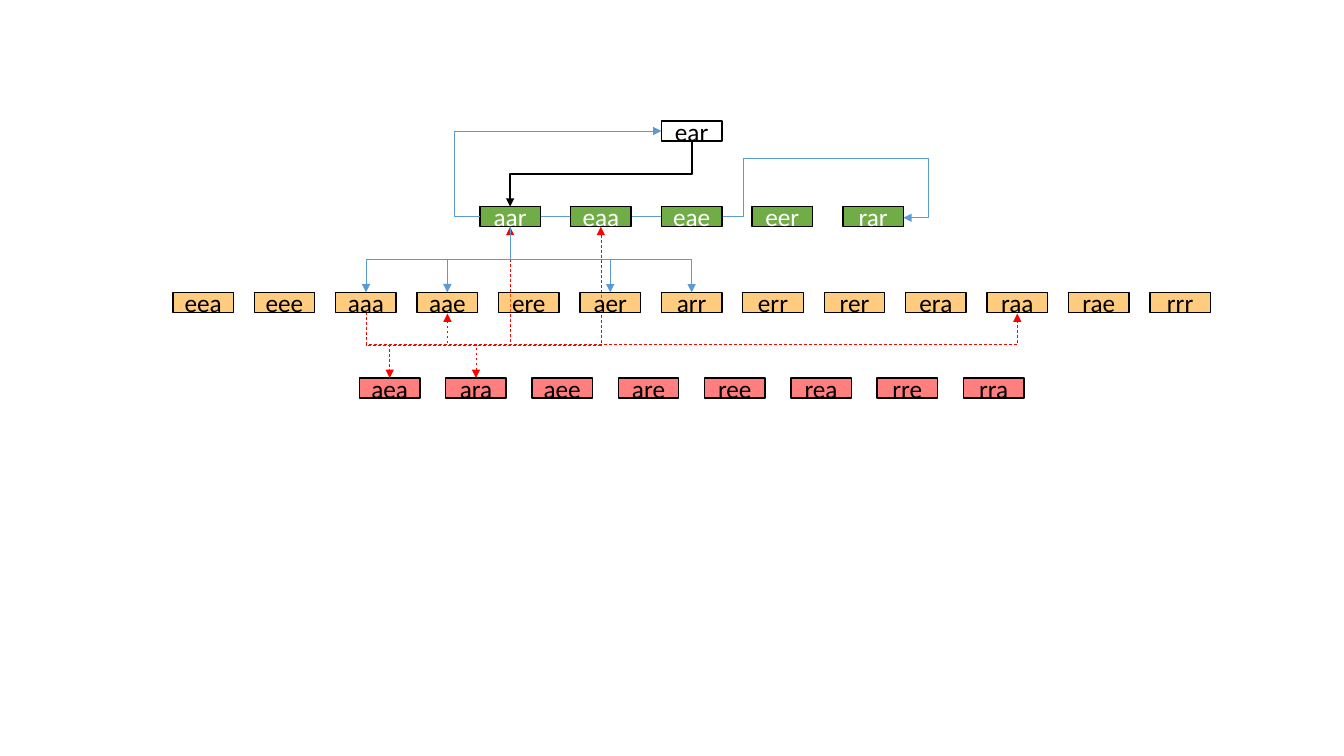
from lxml import etree
from pptx import Presentation
from pptx import util as u
from pptx.dml.color import RGBColor
from pptx.enum import dml, shapes, text
from pptx.oxml import ns

COLORS = {"white": "FFFFFF", "black": "000000", "green": "70AD47",
          "orange": "FF9900", "red": "FF0000", "blue": "5B9BD5"}
TOP, LEFT, BOTTOM, RIGHT = range(4)  # connection sites of a rectangle


def rgb(name):
    return RGBColor.from_string(COLORS[name])


def sub(parent, tag, **attrs):
    return etree.SubElement(parent, ns.qn(tag), attrs)


def write(sp, words, size=18, font="Calibri", color="black"):
    tf = sp.text_frame
    tf.vertical_anchor = text.MSO_ANCHOR.MIDDLE
    p = tf.paragraphs[0]
    p.alignment = text.PP_ALIGN.CENTER
    r = p.add_run()
    r.text = words
    r.font.size, r.font.name = u.Pt(size), font
    r.font.color.rgb = rgb(color)


class TreeSlide:
    """Rows of word boxes centred on one axis and joined by elbow lines."""
    AXIS, FIRST_ROW, ROW_PITCH = 6.86, 1.2, 0.85
    BOX_W, BOX_H = 0.6, 0.2
    TRUNK = (ROW_PITCH - BOX_H) / 2  # halfway down the gap between rows

    def __init__(self, prs):
        self.s = prs.slides.add_slide(prs.slide_layouts[6])
        self.boxes = {}

    def row(self, number, words, span, fill, color="black", alpha=None):
        pitch = span / max(len(words) - 1, 1)
        for i, word in enumerate(words):
            x = self.AXIS - span / 2 + i * pitch - self.BOX_W / 2
            y = self.FIRST_ROW + number * self.ROW_PITCH
            self.boxes[word] = self.box(word, x, y, fill, color, alpha)

    def box(self, word, x, y, fill, color, alpha):
        sp = self.s.shapes.add_shape(
            shapes.MSO_SHAPE.RECTANGLE, u.Inches(x), u.Inches(y),
            u.Inches(self.BOX_W), u.Inches(self.BOX_H))
        sp.shadow.inherit = False
        sp.fill.solid()
        sp.fill.fore_color.rgb = rgb(fill)
        if alpha:
            tint = sp.fill._xPr.find(".//" + ns.qn("a:srgbClr"))
            sub(tint, "a:alpha", val=str(alpha * 1000))
        sp.line.color.rgb, sp.line.width = rgb("black"), u.Pt(1)
        write(sp, word, color=color)
        return sp

    def site(self, word, side):
        sp = self.boxes[word]
        x = sp.left + sp.width * {LEFT: 0, RIGHT: 1}.get(side, 0.5)
        y = sp.top + sp.height * {TOP: 0, BOTTOM: 1}.get(side, 0.5)
        return u.Emu(int(x)).inches, u.Emu(int(y)).inches

    def link(self, start, side, end, end_side, bends, color="blue",
             width=0.5, dashed=False, back=False):
        """Join two boxes; bends are offsets from the start, along x, y, x..."""
        x1, y1 = self.site(start, side)
        x2, y2 = self.site(end, end_side)
        if abs(y2 - y1) < 0.01:
            y2 = y1 + 0.01  # bends are shares of the height, so keep one
        dx, dy = x2 - x1, y2 - y1
        c = self.s.shapes.add_connector(
            shapes.MSO_CONNECTOR.ELBOW, *map(u.Inches, (x1, y1, x2, y2)))
        c.begin_connect(self.boxes[start], side)
        c.end_connect(self.boxes[end], end_side)

        # Frame: a line that leaves downwards is turned by a quarter
        down = side == BOTTOM
        w, h = (abs(dy), abs(dx)) if down else (abs(dx), abs(dy))
        c.left, c.top = u.Inches((x1 + x2 - w) / 2), u.Inches((y1 + y2 - h) / 2)
        c.width, c.height = u.Inches(w), u.Inches(h)
        xfrm = c._element.spPr.find(ns.qn("a:xfrm"))
        flip_h, flip_v = (dy < 0, dx > 0) if down else (dx < 0, dy < 0)
        xfrm.set("flipH", str(int(flip_h)))
        xfrm.set("flipV", str(int(flip_v)))
        if down:
            xfrm.set("rot", "5400000")

        # Bends
        geom = c._element.spPr.find(ns.qn("a:prstGeom"))
        geom.set("prst", f"bentConnector{len(bends) + 2}")
        guides = geom.find(ns.qn("a:avLst"))
        for i, bend in enumerate(bends):
            length = dy if down or i % 2 else dx
            sub(guides, "a:gd", name=f"adj{i + 1}",
                fmla=f"val {round(bend / length * 100000)}")

        # Stroke
        c.line.color.rgb, c.line.width = rgb(color), u.Pt(width)
        if dashed:
            c.line.dash_style = dml.MSO_LINE.DASH
        sub(c.line._get_or_add_ln(), "a:tailEnd", type="triangle")
        sub(c._element.spPr, "a:effectLst")
        if back:
            self.s.shapes._spTree.insert(2, c._element)


def main():
    prs = Presentation()
    prs.slide_width, prs.slide_height = u.Inches(13.33), u.Inches(7.5)
    tree = TreeSlide(prs)
    trunk = [tree.TRUNK]

    # Word rows
    tree.row(0, ["ear"], 0, "white")
    tree.row(1, "aar eaa eae eer rar".split(), 3.6, "green", "white")
    tree.row(2, "eea eee aaa aae ere aer arr err rer era raa rae rrr".split(),
             9.69, "orange", alpha=50)
    tree.row(3, "aea ara aee are ree rea rre rra".split(), 5.99, "red", alpha=50)

    # Links of the first two rows
    tree.link("aar", RIGHT, "rar", RIGHT, [2.01, -0.59, 3.85], back=True)
    tree.link("ear", BOTTOM, "aar", TOP, trunk, "black", 1.25)
    tree.link("aar", LEFT, "ear", LEFT, [-0.25])

    # Links from aar down to the third row
    for word in ("aae", "arr", "aer", "aaa"):
        tree.link("aar", BOTTOM, word, TOP, trunk)

    # Dashed links from aaa
    for word in ("eaa", "aar"):
        tree.link("aaa", BOTTOM, word, BOTTOM, trunk, "red", dashed=True, back=True)
    for word, side in (("raa", BOTTOM), ("aea", TOP), ("ara", TOP), ("aae", BOTTOM)):
        tree.link("aaa", BOTTOM, word, side, trunk, "red", dashed=True)

    prs.save("out.pptx")


if __name__ == "__main__":
    main()
